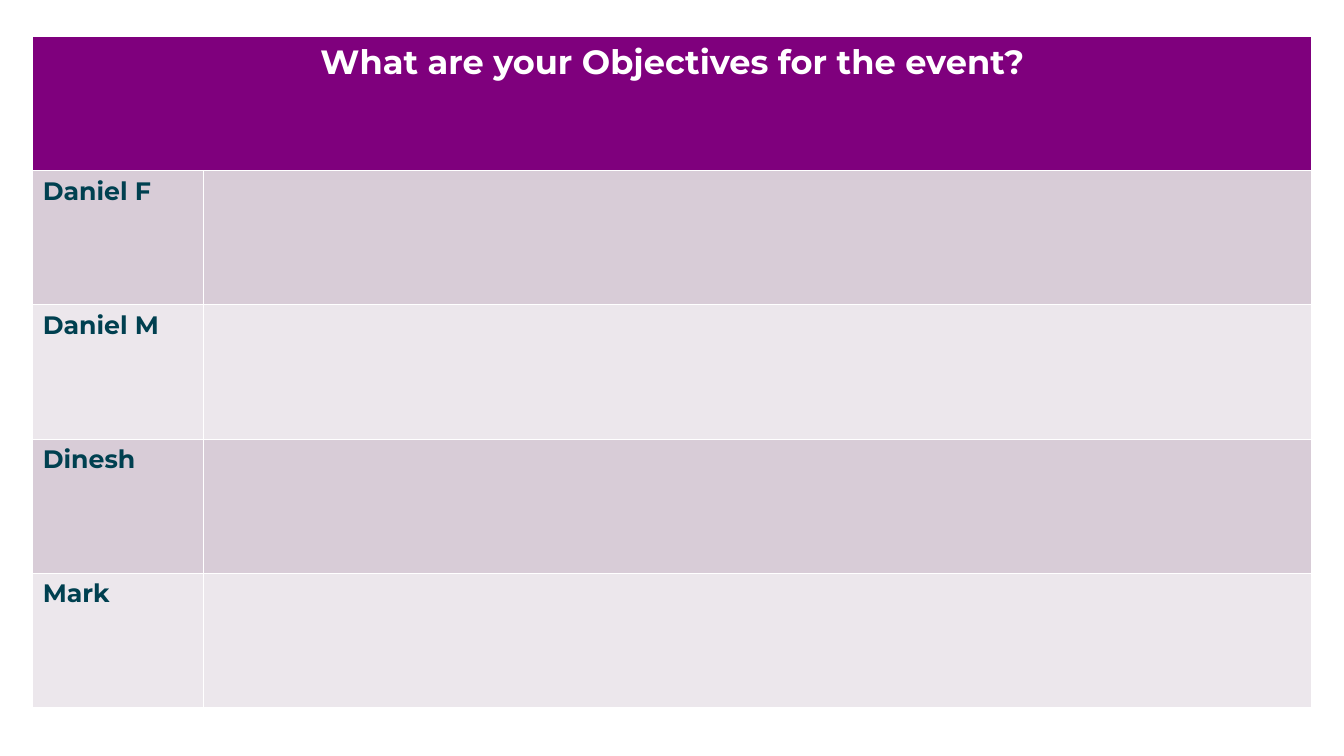
"""Build the event objectives slide with one table row per participant."""
from dataclasses import dataclass

from pptx import Presentation
from pptx.dml.color import RGBColor
from pptx.enum import text
from pptx.table import _Cell
from pptx.util import Pt

WHITE = RGBColor(0xFF, 0xFF, 0xFF)
PURPLE = RGBColor(0x7F, 0x00, 0x7D)
TEAL = RGBColor(0x00, 0x40, 0x50)
MAUVE = RGBColor(0xD8, 0xCC, 0xD7)
PALE_MAUVE = RGBColor(0xEC, 0xE7, 0xEC)

FONT_NAME = "Montserrat"
HEADING = "What are your Objectives for the event?"
COLUMN_WIDTHS = (Pt(121.7), Pt(792))
ROW_HEIGHT = Pt(95.9)


@dataclass(frozen=True)
class Participant:
    name: str
    fill: RGBColor


PARTICIPANTS = (
    Participant("Daniel F", MAUVE),
    Participant("Daniel M", PALE_MAUVE),
    Participant("Dinesh", MAUVE),
    Participant("Mark", PALE_MAUVE),
)


def fill_cell(cell: _Cell, color: RGBColor) -> None:
    cell.fill.solid()
    cell.fill.fore_color.rgb = color


def write_cell(cell: _Cell, wording: str, size: int, color: RGBColor) -> None:
    cell.text_frame.text = wording
    font = cell.text_frame.paragraphs[0].runs[0].font
    font.name = FONT_NAME
    font.size = Pt(size)
    font.bold = True
    font.color.rgb = color


def main() -> None:
    presentation = Presentation()
    presentation.slide_width = Pt(960)
    presentation.slide_height = Pt(540)
    slide = presentation.slides.add_slide(presentation.slide_layouts[6])

    row_count = len(PARTICIPANTS) + 1
    table = slide.shapes.add_table(
        row_count, len(COLUMN_WIDTHS), Pt(23.4), Pt(26),
        sum(COLUMN_WIDTHS), ROW_HEIGHT * row_count,
    ).table
    for column, width in zip(table.columns, COLUMN_WIDTHS):
        column.width = width
    for row in table.rows:
        row.height = ROW_HEIGHT

    heading = table.cell(0, 0)
    heading.merge(table.cell(0, 1))
    fill_cell(heading, PURPLE)
    write_cell(heading, HEADING, 24, WHITE)
    heading.text_frame.paragraphs[0].alignment = text.PP_ALIGN.CENTER

    for row_index, participant in enumerate(PARTICIPANTS, start=1):
        for cell in table.rows[row_index].cells:
            fill_cell(cell, participant.fill)
        write_cell(table.cell(row_index, 0), participant.name, 18, TEAL)

    presentation.save("out.pptx")


if __name__ == "__main__":
    main()
